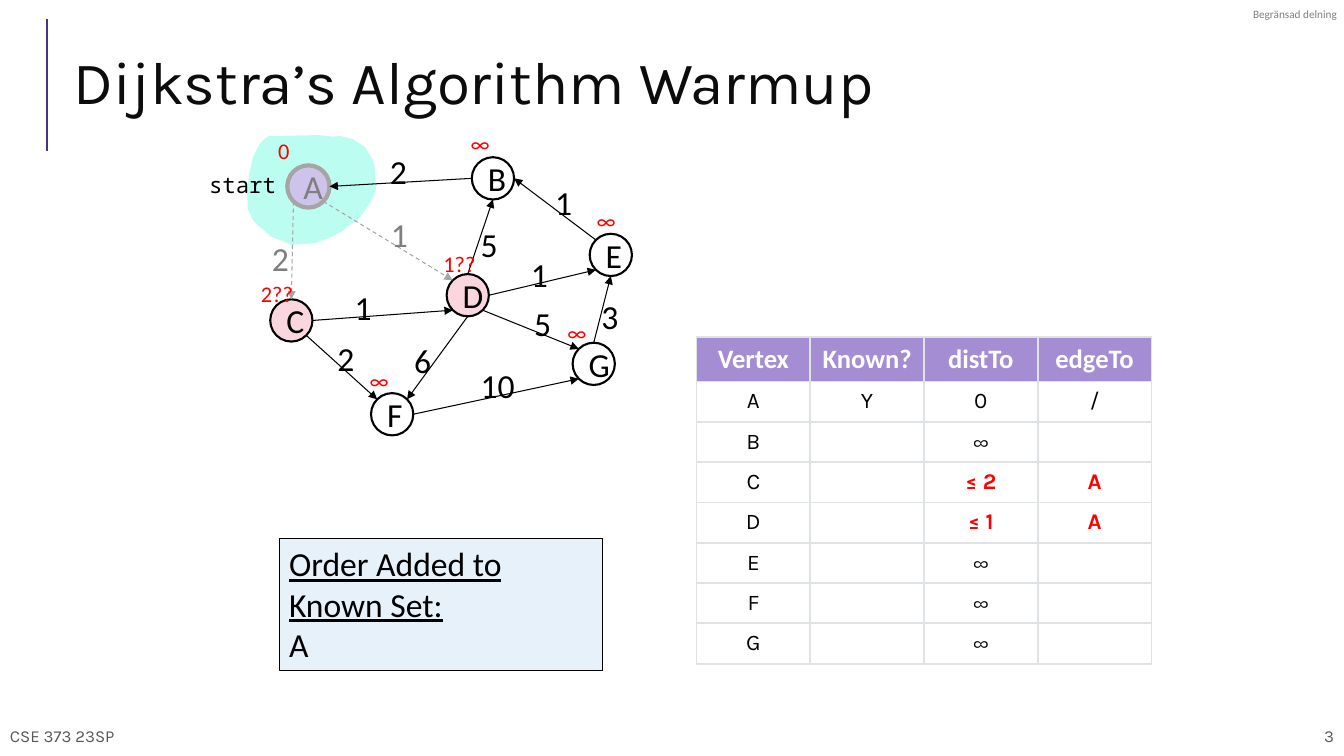
"""Build the Dijkstra warmup slide: weighted graph, distance table and known set."""
import math

from lxml import etree
from pptx import Presentation
from pptx import util as u
from pptx.dml.color import RGBColor
from pptx.enum import dml, shapes, text
from pptx.oxml.ns import qn

COLORS = {
    "black": "000000", "white": "FFFFFF", "red": "FF0000", "title": "0C0C0C",
    "footer": "595959", "label": "7F7F7F", "rule": "4C3282", "header": "A48DD3",
    "border": "DFE3E5", "blob": "BCFDF1", "box": "E7F1FA", "done": "CEC4EB",
    "seen": "FAD7DE", "faded": "A5A5A5",
}
NODE_SIZE = 30.2
NODES = {
    "A": (205.2, 118.1), "B": (337, 112.3), "C": (193, 213.8), "D": (319, 195.8),
    "E": (421.2, 167), "F": (265, 280.8), "G": (409, 244.8),
}
ANGLES = {"r": 0, "br": 45, "b": 90, "bl": 135, "l": 180, "tl": 225, "t": 270, "tr": 315}
EDGES = [
    ("A", "bl", "C", "t"), ("A", "br", "D", "tl"), ("B", "l", "A", "r"),
    ("D", "t", "B", "b"), ("C", "r", "D", "bl"), ("D", "r", "E", "bl"),
    ("E", "tl", "B", "r"), ("C", "br", "F", "tl"), ("D", "b", "F", "tr"),
    ("D", "br", "G", "tl"), ("G", "t", "E", "b"), ("F", "r", "G", "bl"),
]
WEIGHTS = [
    ("2", 271.4, 104.4, "black"), ("1", 272.2, 149, "label"), ("2", 187.2, 166.3, "label"),
    ("5", 336.2, 156.2, "black"), ("1", 246.2, 201.6, "black"), ("1", 372.2, 177.8, "black"),
    ("1", 389.5, 126.7, "black"), ("2", 234, 237.6, "black"), ("6", 288.7, 239, "black"),
    ("5", 374.4, 213.1, "black"), ("3", 422.6, 208.1, "black"), ("10", 336.2, 257, "black"),
]
DISTANCES = [
    ("0", 191.5, 94.3), ("∞", 329, 89.3), ("∞", 419, 144.7), ("∞", 398.2, 224.6),
    ("1??", 309.6, 175), ("2??", 179.3, 196.6), ("∞", 257, 258.5),
]
BLOB = [
    (243, 97.2), (237.6, 97.6), (227.5, 96.5), (192, 97.2), (188.6, 99.4), (185, 103.7),
    (180.7, 112.3), (178.6, 121.7), (176.4, 134.6), (177, 149), (180, 156.2),
    (183.6, 160.6), (188, 164), (193.7, 169.2), (203.8, 172.8), (208, 175),
    (225.4, 173.5), (235.4, 170), (244.8, 165), (249, 161.3), (255, 157.7),
    (259, 152.6), (265, 144), (267, 139.7), (268.6, 134.6), (267.8, 119.5),
    (266.4, 114.5), (260.6, 105), (252, 99.4),
]
ROWS = [
    ("Vertex", "Known?", "distTo", "edgeTo"), ("A", "Y", "0", "/"), ("B", "", "∞", ""),
    ("C", "", "≤ 2", "A"), ("D", "", "≤ 1", "A"), ("E", "", "∞", ""),
    ("F", "", "∞", ""), ("G", "", "∞", ""),
]


def rgb(name):
    """Return a named colour."""
    return RGBColor.from_string(COLORS[name])


def pts(*values):
    """Convert several numbers to point lengths."""
    return [u.Pt(v) for v in values]


def set_text(tf, content, size, font, color, align="LEFT", bold=False):
    """Fill a text frame and format its runs."""
    tf.text = content
    for p in tf.paragraphs:
        p.alignment = text.PP_ALIGN[align]
        for r in p.runs:
            r.font.size, r.font.name, r.font.bold = u.Pt(size), font, bold
            r.font.color.rgb = rgb(color)


def set_frame(tf, insets, anchor="TOP"):
    """Set insets, wrapping and vertical anchor of a text frame."""
    tf.margin_left, tf.margin_top, tf.margin_right, tf.margin_bottom = pts(*insets)
    tf.vertical_anchor = text.MSO_ANCHOR[anchor]
    tf.word_wrap = True


def add_text(parent, content, box, size, font, color, insets, align="LEFT", anchor="TOP"):
    """Add a text box."""
    tf = parent.add_textbox(*pts(*box)).text_frame
    set_frame(tf, insets, anchor)
    set_text(tf, content, size, font, color, align)


def add_line(parent, start, end, color, width, arrow=False, dashed=False):
    """Add a straight line, optionally dashed or with an arrowhead."""
    c = parent.add_connector(shapes.MSO_CONNECTOR.STRAIGHT, *pts(*start, *end))
    c.line.color.rgb, c.line.width = rgb(color), u.Pt(width)
    if dashed:
        c.line.dash_style = dml.MSO_LINE.DASH
    if arrow:
        etree.SubElement(c.line._get_or_add_ln(), qn("a:tailEnd"), type="triangle")
    etree.SubElement(c._element.spPr, qn("a:effectLst"))


def add_box(parent, kind, box, fill, line, width):
    """Add an outlined preset shape, unfilled when fill is None."""
    sp = parent.add_shape(kind, *pts(*box))
    sp.shadow.inherit = False
    if fill:
        sp.fill.solid()
        sp.fill.fore_color.rgb = rgb(fill)
    else:
        sp.fill.background()
    sp.line.color.rgb, sp.line.width = rgb(line), u.Pt(width)
    return sp


def node_site(name, side):
    """Return the point on a node's rim at the given side."""
    left, top = NODES[name]
    angle, radius = math.radians(ANGLES[side]), NODE_SIZE / 2
    return left + radius * (1 + math.cos(angle)), top + radius * (1 + math.sin(angle))


def add_blob(s):
    """Add the highlight behind the start node."""
    outline = [pts(*point) for point in BLOB]
    builder = s.shapes.build_freeform(*outline[0], scale=1.0)
    builder.add_line_segments(outline[1:], close=True)
    sp = builder.convert_to_shape()
    sp.shadow.inherit = False
    sp.fill.solid()
    sp.fill.fore_color.rgb = rgb("blob")
    sp.line.fill.background()


def add_graph(s):
    """Add nodes, edges, weights and distances as one group."""
    group = s.shapes.add_group_shape().shapes
    fills = {"A": "done", "C": "seen", "D": "seen"}
    for name, corner in NODES.items():
        line, width, color = ("faded", 3, "label") if name == "A" else ("black", 1.5, "black")
        sp = add_box(group, shapes.MSO_SHAPE.OVAL, (*corner, NODE_SIZE, NODE_SIZE),
                     fills.get(name), line, width)
        set_frame(sp.text_frame, (7.2, 3.6, 7.2, 3.6), "MIDDLE")
        set_text(sp.text_frame, name, 24, "Calibri", color, "CENTER")
    for tail, tail_side, head, head_side in EDGES:
        faded = tail == "A"
        add_line(group, node_site(tail, tail_side), node_site(head, head_side),
                 "faded" if faded else "black", 0.75, arrow=True, dashed=faded)
    insets = (7.2, 3.6, 0, 3.6)
    for label, left, top, color in WEIGHTS:
        add_text(group, label, (left, top, 14.4 + 12.2 * len(label), 36), 24, "Calibri",
                 color, insets)
    for label, left, top in DISTANCES:
        add_text(group, label, (left, top, 20 + 6 * len(label), 26.6), 16, "Calibri",
                 "red", insets)


def add_border(cell):
    """Draw the four sides of a table cell."""
    for side in ("a:lnL", "a:lnR", "a:lnT", "a:lnB"):
        ln = etree.SubElement(cell._tc.get_or_add_tcPr(), qn(side), w=str(int(u.Pt(1.5))))
        fill = etree.SubElement(ln, qn("a:solidFill"))
        etree.SubElement(fill, qn("a:srgbClr"), val=COLORS["border"])


def add_distance_table(s):
    """Add the table of vertices, distances and predecessors."""
    tbl = s.shapes.add_table(len(ROWS), 4, *pts(497.5, 240.5, 325, 234)).table
    tbl.horz_banding = False
    for col in tbl.columns:
        col.width = u.Pt(81.25)
    for i, row in enumerate(ROWS):
        tbl.rows[i].height = u.Pt(28.8 if i else 32)
        for j, value in enumerate(row):
            cell = tbl.cell(i, j)
            add_border(cell)
            cell.fill.solid()
            cell.fill.fore_color.rgb = rgb("white" if i else "header")
            cell.margin_left = cell.margin_right = u.Pt(5)
            cell.margin_top = cell.margin_bottom = u.Pt(4)
            cell.vertical_anchor = text.MSO_ANCHOR.MIDDLE
            updated = row[0] in "CD" and j > 1
            style = (16, "Karla", "red" if updated else "black") if i else (19, "Calibri", "white")
            set_text(cell.text_frame, value, *style, "CENTER", updated or i == 0)
            if not value:
                etree.SubElement(cell.text_frame.paragraphs[0]._p, qn("a:endParaRPr"), sz="1600")


def add_title(s):
    """Place and format the slide title."""
    title = s.shapes.title
    title.left, title.top, title.width, title.height = pts(45.4, 20.9, 880.6, 79.9)
    tf = title.text_frame
    set_frame(tf, (7.2, 3.6, 7.2, 3.6), "MIDDLE")
    tf.auto_size = text.MSO_AUTO_SIZE.NONE
    set_text(tf, "Dijkstra’s Algorithm Warmup", 43, "Karla", "title")
    tf.paragraphs[0].line_spacing = 0.9


def add_known_set(s):
    """Add the box listing the known vertices in order."""
    sp = add_box(s.shapes, shapes.MSO_SHAPE.RECTANGLE, (199.4, 384.5, 231.1, 94.3),
                 "box", "black", 0.75)
    set_frame(sp.text_frame, (7.2, 3.6, 7.2, 3.6))
    set_text(sp.text_frame, "Order Added to Known Set:\nA", 24, "Calibri", "black")
    sp.text_frame.paragraphs[0].runs[0].font.underline = True


def main():
    """Build and save the slide."""
    prs = Presentation()
    prs.slide_width, prs.slide_height = pts(960, 540)
    s = prs.slides.add_slide(prs.slide_layouts[5])
    add_line(s.shapes, (33.8, 108), (33.8, 13.7), "rule", 1.5)
    for label, left, align in (("CSE 373 23SP", 0, "LEFT"), ("3", 623, "RIGHT")):
        add_text(s.shapes, label, (left, 511.2, 337, 28.8), 12, "Karla", "footer",
                 (7.2,) * 4, align, "MIDDLE")
    add_text(s.shapes, "Begränsad delning", (895, 5, 65, 9.4), 8, "Calibri", "label", (0,) * 4)
    add_distance_table(s)
    add_blob(s)
    add_title(s)
    add_known_set(s)
    add_graph(s)
    add_text(s.shapes, "start", (130.3, 113, 76.3, 37.4), 16, "Noto Sans Mono", "black",
             (9.4,) * 4, "RIGHT")
    prs.save("out.pptx")


if __name__ == "__main__":
    main()
